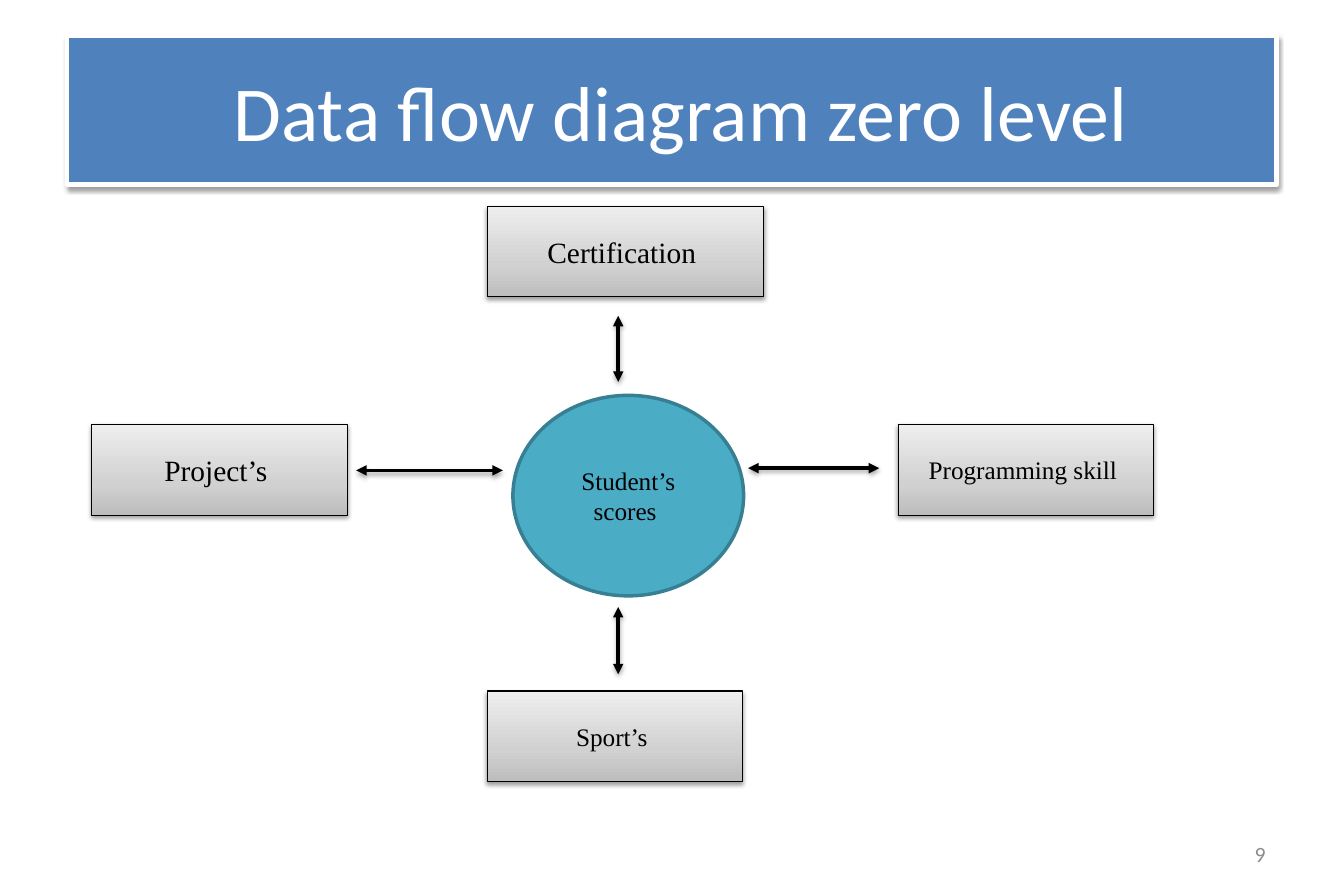
import dataclasses
import typing

import copy
import lxml.etree
import pptx
import pptx.dml.color
import pptx.enum.shapes
import pptx.enum.text
import pptx.oxml.ns
import pptx.slide
import pptx.util

Inches = pptx.util.Inches
Pt = pptx.util.Pt
Kind = pptx.enum.shapes.MSO_SHAPE
Align = pptx.enum.text.PP_ALIGN
qn = pptx.oxml.ns.qn


@dataclasses.dataclass(frozen=True)
class Theme:
    black: str = "000000"
    white: str = "FFFFFF"
    blue: str = "4F81BD"
    teal: str = "4BACC6"
    rim: str = "377F92"
    gray: str = "8C8C8C"
    blend: tuple[tuple[float, str], ...] = (
        (0, "BDBDBD"), (0.35, "D1D1D1"), (1, "EEEEEE"))
    serif: str = "Times New Roman"
    sans: str = "Calibri"
    title: float = 50
    large: float = 18.9
    small: float = 16.2
    number: float = 14


THEME = Theme()


@dataclasses.dataclass(frozen=True)
class Label:
    text: str
    size: float
    font: str = THEME.serif
    color: str = THEME.black
    align: Align = Align.CENTER
    inset: tuple[float, float] = (0.1, 0.05)


@dataclasses.dataclass(frozen=True)
class Box:
    left: float
    top: float
    width: float
    height: float
    label: Label
    fill: str | None = None  # None gives the gray blend
    line: str = THEME.black
    weight: float = 0.75
    kind: Kind = Kind.RECTANGLE
    shade: bool = True


class Arrow(typing.NamedTuple):
    left: float
    top: float
    right: float
    base: float


WIDTH, HEIGHT = 2.28, 0.81
MID_TOP = 3.79
HUB_LEFT = 4.35
STEM = 5.52

BOXES = (
    Box(HUB_LEFT, 1.84, 2.47, HEIGHT, Label("Certification ", THEME.large)),
    Box(8.02, MID_TOP, WIDTH, HEIGHT, Label("Programming skill ", THEME.small)),
    Box(0.82, MID_TOP, WIDTH, HEIGHT, Label("Project’s ", THEME.large)),
    Box(HUB_LEFT, 6.17, WIDTH, HEIGHT, Label("Sport’s ", THEME.small)),
    Box(4.58, 3.53, 2.06, 1.79, Label("Student’s scores ", THEME.small),
        THEME.teal, THEME.rim, 2.25, Kind.OVAL, False),
)
ARROWS = (
    Arrow(4.49, 4.2, 3.18, 4.2),
    Arrow(STEM, 6.02, STEM, 5.42),
    Arrow(STEM, 3.41, STEM, 2.82),
    Arrow(6.68, 4.18, 7.85, 4.18),
)
TITLE = Box(0.6, 0.32, 10.8, 1.33,
            Label(" Data flow diagram zero level", THEME.title, THEME.sans,
                  THEME.white, inset=(0.11, 0.06)),
            THEME.blue, THEME.white, 3)
NUMBER = Label("9", THEME.number, THEME.sans, THEME.gray, Align.RIGHT,
               (0.11, 0.06))


def rgb(code: str) -> pptx.dml.color.RGBColor:
    return pptx.dml.color.RGBColor.from_string(code)


def write(shape: typing.Any, label: Label) -> None:
    frame = shape.text_frame
    frame.word_wrap = True
    frame.vertical_anchor = pptx.enum.text.MSO_ANCHOR.MIDDLE
    frame.margin_left = frame.margin_right = Inches(label.inset[0])
    frame.margin_top = frame.margin_bottom = Inches(label.inset[1])
    line = frame.paragraphs[0]
    line.alignment = label.align
    run = line.add_run()
    run.text = label.text
    run.font.size = Pt(label.size)
    run.font.name = label.font
    run.font.color.rgb = rgb(label.color)


def blend(shape: typing.Any) -> None:
    """Fill with the theme's gray stops, dark at the foot."""
    shape.fill.gradient()
    shape.fill.gradient_angle = 90
    stops = shape.element.spPr.find(".//" + qn("a:gsLst"))
    stops.append(copy.deepcopy(stops[-1]))
    for stop, (place, code) in zip(shape.fill.gradient_stops, THEME.blend):
        stop.position = place
        stop.color.rgb = rgb(code)


def shade(shape: typing.Any, gap: float, alpha: int) -> None:
    """Cast a soft black shadow straight down."""
    props = shape.element.spPr
    effect = props.find(qn("a:effectLst"))
    if effect is None:
        effect = lxml.etree.SubElement(props, qn("a:effectLst"))
    outer = lxml.etree.SubElement(
        effect, qn("a:outerShdw"), blurRad=str(Pt(3.1)), dist=str(Pt(gap)),
        dir="5400000", rotWithShape="0")
    color = lxml.etree.SubElement(outer, qn("a:srgbClr"), val=THEME.black)
    lxml.etree.SubElement(color, qn("a:alpha"), val=str(alpha * 1000))


def draw_box(slide: pptx.slide.Slide, box: Box) -> None:
    shape = slide.shapes.add_shape(
        box.kind, Inches(box.left), Inches(box.top),
        Inches(box.width), Inches(box.height))
    shape.shadow.inherit = False
    if box.fill is None:
        blend(shape)
    else:
        shape.fill.solid()
        shape.fill.fore_color.rgb = rgb(box.fill)
    shape.line.color.rgb = rgb(box.line)
    shape.line.width = Pt(box.weight)
    if box.shade:
        shade(shape, 1.6, 38)
    write(shape, box.label)


def draw_arrow(slide: pptx.slide.Slide, arrow: Arrow) -> None:
    link = slide.shapes.add_connector(
        pptx.enum.shapes.MSO_CONNECTOR.STRAIGHT, *map(Inches, arrow))
    link.line.color.rgb = rgb(THEME.black)
    link.line.width = Pt(2.25)
    stroke = link.element.spPr.find(qn("a:ln"))
    for end in ("a:headEnd", "a:tailEnd"):
        lxml.etree.SubElement(stroke, qn(end), type="triangle")
    shade(link, 1.8, 35)


def main() -> None:
    deck = pptx.Presentation()
    deck.slide_width, deck.slide_height = Inches(12), Inches(8)
    slide = deck.slides.add_slide(deck.slide_layouts[6])
    for box in BOXES:
        draw_box(slide, box)
    for arrow in ARROWS:
        draw_arrow(slide, arrow)
    draw_box(slide, TITLE)
    number = slide.shapes.add_textbox(
        Inches(8.61), Inches(7.41), Inches(2.8), Inches(0.43))
    write(number, NUMBER)
    deck.save("out.pptx")


if __name__ == "__main__":
    main()
